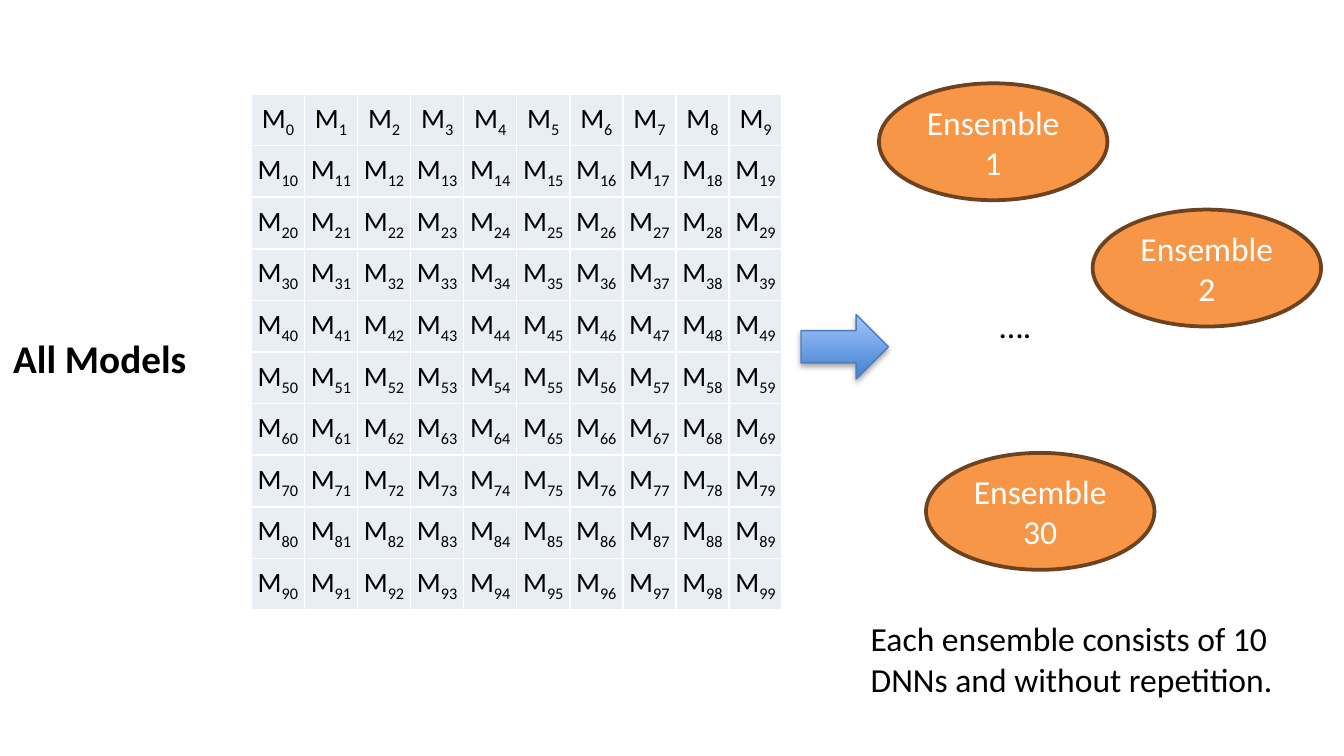
from lxml.etree import SubElement
from pptx import Presentation
from pptx.dml.color import RGBColor
from pptx.enum.shapes import MSO_SHAPE
from pptx.enum.text import MSO_ANCHOR, PP_ALIGN
from pptx.oxml import parse_xml
from pptx.oxml.ns import nsdecls, qn
from pptx.util import Inches, Pt

WIDE = 10
HIGH = WIDE * 9 / 16
FONT = "Calibri"
BLACK = RGBColor(0, 0, 0)
WHITE = RGBColor(255, 255, 255)
PALE = RGBColor(0xE9, 0xED, 0xF4)
ORANGE = RGBColor(0xF7, 0x96, 0x46)
BROWN = RGBColor(0x6C, 0x42, 0x1F)
BLUE = RGBColor(0x3F, 0x80, 0xCE)
SKY = RGBColor(0xA4, 0xC4, 0xFF)
EDGE = RGBColor(0x4B, 0x7E, 0xBC)

COUNT = 10  # models per row and per column
OVAL = (1.7, 0.87)
OVALS = [("Ensemble 1", 6.54, 0.62), ("Ensemble 30", 6.89, 3.37),
         ("Ensemble\v2", 8.13, 1.56)]


def inches(box):
    return [Inches(value) for value in box]


def style(para, size, color, align=PP_ALIGN.LEFT, bold=False):
    para.alignment = align
    font = para.font
    font.name, font.size, font.bold = FONT, Pt(size), bold
    font.color.rgb = color


def border(cell):
    props = cell._tc.get_or_add_tcPr()
    for side in ("a:lnL", "a:lnR", "a:lnT", "a:lnB"):
        line = SubElement(props, qn(side), w=str(Pt(1)))
        fill = SubElement(line, qn("a:solidFill"))
        SubElement(fill, qn("a:srgbClr"), val=str(WHITE))


def model(cell, index):
    border(cell)
    cell.fill.solid()
    cell.fill.fore_color.rgb = PALE
    cell.vertical_anchor = MSO_ANCHOR.MIDDLE
    cell.margin_left = cell.margin_right = cell.margin_top = Inches(0.01)
    cell.margin_bottom = 0
    para = cell.text_frame.paragraphs[0]
    style(para, 15, BLACK, PP_ALIGN.CENTER)
    para.add_run().text = "M"
    sub = para.add_run()
    sub.text = str(index)
    sub._r.get_or_add_rPr().set("baseline", "-25000")


def grid(slide, box):
    left, top, width, height = inches(box)
    table = slide.shapes.add_table(COUNT, COUNT, left, top, width, height).table
    table.first_row = table.horz_banding = False
    for col in table.columns:
        col.width = width // COUNT
    for row in table.rows:
        row.height = height // COUNT
    for index, cell in enumerate(table.iter_cells()):
        model(cell, index)


def label(slide, box, text, size, bold=False):
    frame = slide.shapes.add_textbox(*inches(box)).text_frame
    frame.word_wrap = True
    frame.text = text
    style(frame.paragraphs[0], size, BLACK, bold=bold)


def arrow(slide, box):
    shape = slide.shapes.add_shape(MSO_SHAPE.RIGHT_ARROW, *inches(box))
    shape.fill.gradient()
    shape.fill.gradient_angle = 90
    for place, color in enumerate((BLUE, SKY)):
        stop = shape.fill.gradient_stops[place]
        stop.position, stop.color.rgb = place, color
    shape.line.color.rgb = EDGE
    shape.line.width = Pt(0.75)
    # Soft shadow straight below
    shape._element.spPr.append(parse_xml(
        f'<a:effectLst {nsdecls("a")}><a:outerShdw blurRad="{Pt(3.1)}" '
        f'dist="{Pt(1.8)}" dir="5400000" rotWithShape="0">'
        '<a:srgbClr val="000000"><a:alpha val="35000"/></a:srgbClr>'
        '</a:outerShdw></a:effectLst>'))


def oval(slide, box, text):
    shape = slide.shapes.add_shape(MSO_SHAPE.OVAL, *inches(box))
    shape.shadow.inherit = False
    shape.fill.solid()
    shape.fill.fore_color.rgb = ORANGE
    shape.line.color.rgb = BROWN
    shape.line.width = Pt(2)
    frame = shape.text_frame
    frame.word_wrap = True
    frame.vertical_anchor = MSO_ANCHOR.MIDDLE
    para = frame.paragraphs[0]
    para.text = text
    style(para, 18, WHITE, PP_ALIGN.CENTER)


def main():
    deck = Presentation()
    deck.slide_width, deck.slide_height = inches((WIDE, HIGH))
    slide = deck.slides.add_slide(deck.slide_layouts[6])

    # All models
    grid(slide, (1.87, 0.7, 3.95, 3.84))
    label(slide, (0, 2.44, 1.67, 0.45), "All Models", 21, bold=True)

    # Ensembles drawn from them
    arrow(slide, (5.96, 2.34, 0.65, 0.48))
    for text, left, top in OVALS:
        oval(slide, (left, top, *OVAL), text)
    label(slide, (7.34, 2.22, 0.46, 0.4), "….", 18)
    label(slide, (6.38, 4.55, 3.33, 0.71),
          "Each ensemble consists of 10 DNNs and without repetition.", 18)

    deck.save("out.pptx")


if __name__ == "__main__":
    main()
